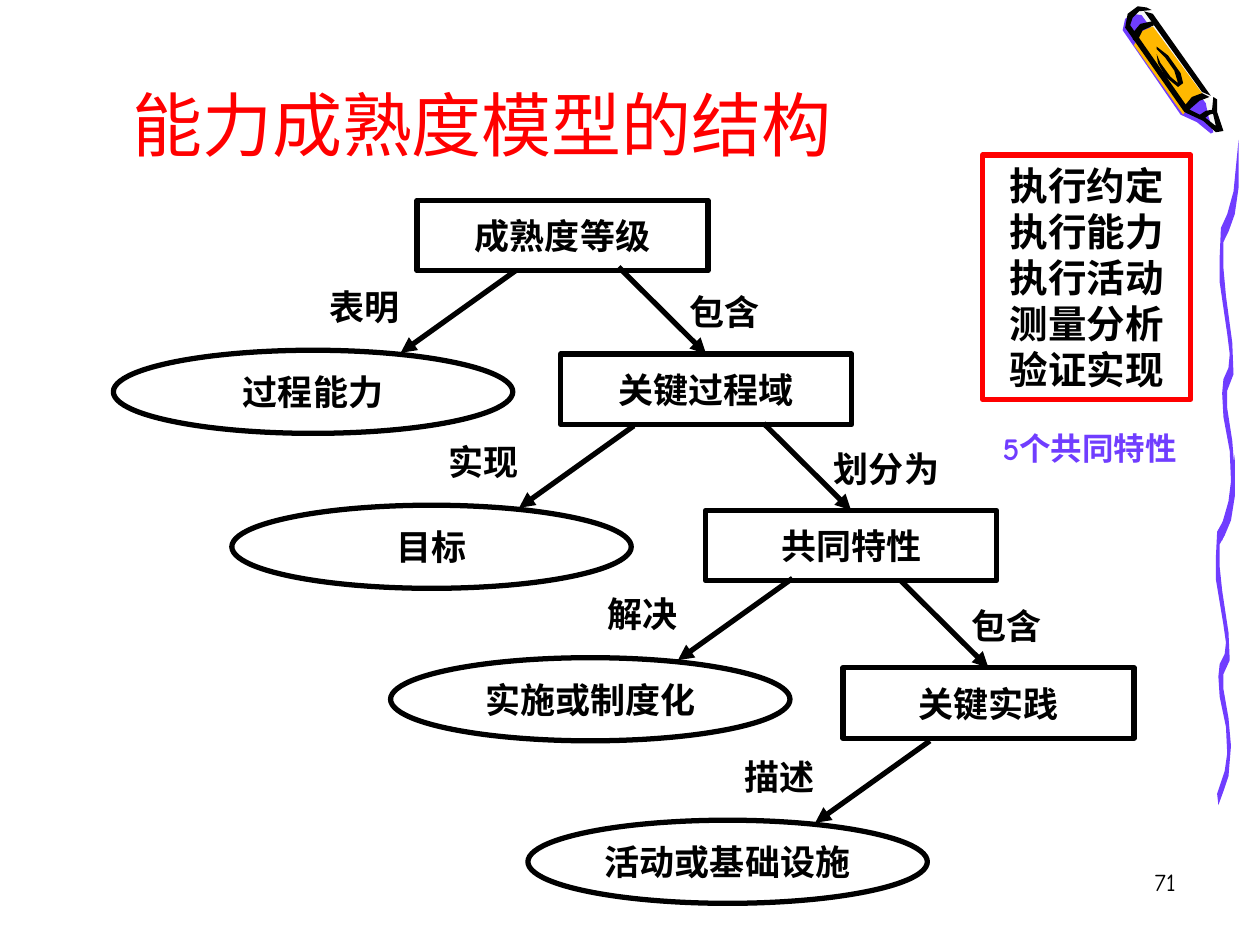
from pptx import Presentation
from pptx.dml.color import RGBColor
from pptx.enum.shapes import MSO_CONNECTOR as Connector, MSO_SHAPE as Shape
from pptx.enum.text import MSO_ANCHOR as Anchor, MSO_AUTO_SIZE as AutoSize, PP_ALIGN as Align
from pptx.oxml.ns import qn
from pptx.util import Inches, Pt
from lxml import etree

BLACK = RGBColor(0x00, 0x00, 0x00)
RED = RGBColor(0xFF, 0x00, 0x00)
PURPLE = RGBColor(0x70, 0x3D, 0xFF)
ORANGE = RGBColor(0xFF, 0xB8, 0x00)
PALE = RGBColor(0xF8, 0xF8, 0xF8)
SERIF, COMIC = "Times New Roman", "Comic Neue"

deck = Presentation()
deck.slide_width, deck.slide_height = Inches(10), Inches(7.5)
page = deck.slides.add_slide(deck.slide_layouts[5])


def write(box, text, size, font=SERIF, color=BLACK, bold=True,
          align=Align.CENTER, anchor=Anchor.MIDDLE, wrap=True):
    frame = box.text_frame
    frame.text = text
    frame.word_wrap = wrap
    frame.vertical_anchor = anchor
    for para in frame.paragraphs:
        para.alignment = align
        for span in para.runs:
            span.font.size, span.font.name, span.font.bold = Pt(size), font, bold
            span.font.color.rgb = color


def add_node(kind, left, top, width, height, text, size=20, color=BLACK):
    node = page.shapes.add_shape(kind, Inches(left), Inches(top), Inches(width), Inches(height))
    node.shadow.inherit = False
    node.fill.background()
    node.line.color.rgb = color
    node.line.width = Pt(3)
    write(node, text, size)
    return node


# Decoration outlines, in hundredths of an inch
wave = [(966, 630), (972, 612), (974, 598), (973, 577), (968, 553), (967, 537), (968, 527),
        (972, 519), (973, 510), (971, 496), (965, 460), (965, 442), (966, 422), (971, 413),
        (976, 397), (980, 361), (980, 394), (977, 413), (972, 425), (968, 432), (968, 450),
        (970, 469), (975, 502), (976, 524), (971, 535), (971, 547), (975, 570), (977, 592),
        (975, 616), (971, 628), (967, 639)]
upper_wave = [(x + 3, 111 + (y - 361) * 3.18 / 2.78) for x, y in wave]
pencil_body = [(968, 100), (963, 86), (953, 64), (911, 7), (904, 6), (897, 11), (896, 20),
               (941, 86), (956, 93), (966, 102)]
pencil_shade = [(906, 12), (957, 82), (959, 92), (963, 105), (961, 106), (950, 97), (937, 91),
                (891, 24), (893, 15), (899, 11)]
pencil_paint = [(900, 36), (939, 91), (947, 80), (957, 78), (915, 21), (906, 25)]
pencil_tip = [(963, 87), (957, 88), (951, 92), (956, 94), (960, 91), (964, 90)]
pencil_edge = [(910, 6), (903, 5), (895, 11), (893, 22), (940, 89), (955, 96), (965, 105),
               (971, 104), (966, 89), (966, 79), (963, 77), (962, 87), (965, 100), (956, 93),
               (944, 87), (952, 80), (960, 77), (954, 74), (946, 77), (941, 83), (897, 20),
               (899, 14), (904, 9), (914, 8)]
pencil_side = [(915, 11), (961, 76), (954, 73), (908, 9)]
pencil_band = [(914, 17), (905, 19), (900, 25), (899, 31), (902, 34), (907, 24), (916, 20)]
pencil_mark = [(918, 39), (925, 46), (932, 56), (935, 66), (929, 61), (921, 50), (918, 43),
               (919, 50), (925, 61), (935, 69), (939, 66), (937, 58), (927, 44), (918, 37)]

for points, color in [(wave, PURPLE), (upper_wave, PURPLE), (pencil_body, PALE),
                      (pencil_shade, PURPLE), (pencil_paint, ORANGE), (pencil_tip, BLACK),
                      (pencil_edge, BLACK), (pencil_side, BLACK), (pencil_band, BLACK),
                      (pencil_mark, BLACK)]:
    builder = page.shapes.build_freeform(*points[0], scale=Inches(0.01))
    builder.add_line_segments(points[1:], close=True)
    outline = builder.convert_to_shape()
    outline.shadow.inherit = False
    outline.fill.solid()
    outline.fill.fore_color.rgb = color
    outline.line.fill.background()

# Title
title = page.shapes.title
title.left, title.top, title.width, title.height = (
    Inches(0.95), Inches(0.53), Inches(8.5), Inches(0.83))
write(title, "能力成熟度模型的结构", 40, COMIC, RED, False, Align.LEFT, Anchor.BOTTOM)
title.text_frame.auto_size = AutoSize.NONE

# Staircase: each level has a box, and an ellipse below it to the left
BOX_W, BOX_H = 2.31, 0.56
OVAL_W, OVAL_H = 3.17, 0.66
levels = [  # box left, top, text, label from the box above; oval left, top, text, label
    (3.31, 1.59, "成熟度等级", None, 0.90, 2.78, "过程能力", "表明"),
    (4.45, 2.81, "关键过程域", "包含", 1.84, 4.01, "目标", "实现"),
    (5.60, 4.05, "共同特性", "划分为", 3.10, 5.22, "实施或制度化", "解决"),
    (6.69, 5.30, "关键实践", "包含", 4.19, 6.51, "活动或基础设施", "描述"),
]
arrows, labels = [], []
for box_x, box_y, box_text, box_label, oval_x, oval_y, oval_text, oval_label in levels:
    box = add_node(Shape.RECTANGLE, box_x, box_y, BOX_W, BOX_H, box_text)
    add_node(Shape.OVAL, oval_x, oval_y, OVAL_W, OVAL_H, oval_text)
    arrows.append((oval_x + 3.19, oval_y - 0.63, oval_x + 2.28, oval_y + 0.02, None))
    labels.append((oval_x + 1.62, oval_y - 0.54, 1.11, 0.38, oval_label))
    if box_label:
        arrows.append((box_x + 0.46, box_y - 0.69, box_x + BOX_W / 2, box_y, box))
        labels.append((box_x + 0.92, box_y - 0.54, 1.32, 0.41, box_label))

# Arrows, joined to the top of a box where they end there
for x1, y1, x2, y2, target in arrows:
    arrow = page.shapes.add_connector(
        Connector.STRAIGHT, Inches(x1), Inches(y1), Inches(x2), Inches(y2))
    if target:
        arrow.end_connect(target, 0)
    arrow.line.color.rgb = BLACK
    arrow.line.width = Pt(3)
    etree.SubElement(arrow.line._get_or_add_ln(), qn("a:tailEnd"), type="triangle")
    etree.SubElement(arrow._element.spPr, qn("a:effectLst"))

# Arrow labels
for left, top, width, height, text in labels:
    label = page.shapes.add_textbox(Inches(left), Inches(top), Inches(width), Inches(height))
    write(label, text, 20, align=Align.JUSTIFY)

# Common features with their caption
features = ["执行约定", "执行能力", "执行活动", "测量分析", "验证实现"]
add_node(Shape.RECTANGLE, 7.8, 1.23, 1.65, 1.94, "\n".join(features), 22, RED)
caption = page.shapes.add_textbox(Inches(7.86), Inches(3.36), Inches(1.64), Inches(0.4))
write(caption, "5个共同特性", 18, COMIC, PURPLE, True, Align.LEFT, Anchor.TOP, wrap=False)

# Page number
number = page.shapes.add_textbox(Inches(7.35), Inches(6.83), Inches(2.08), Inches(0.5))
write(number, "71", 14, COMIC, BLACK, False, Align.RIGHT, Anchor.TOP)

deck.save("out.pptx")
